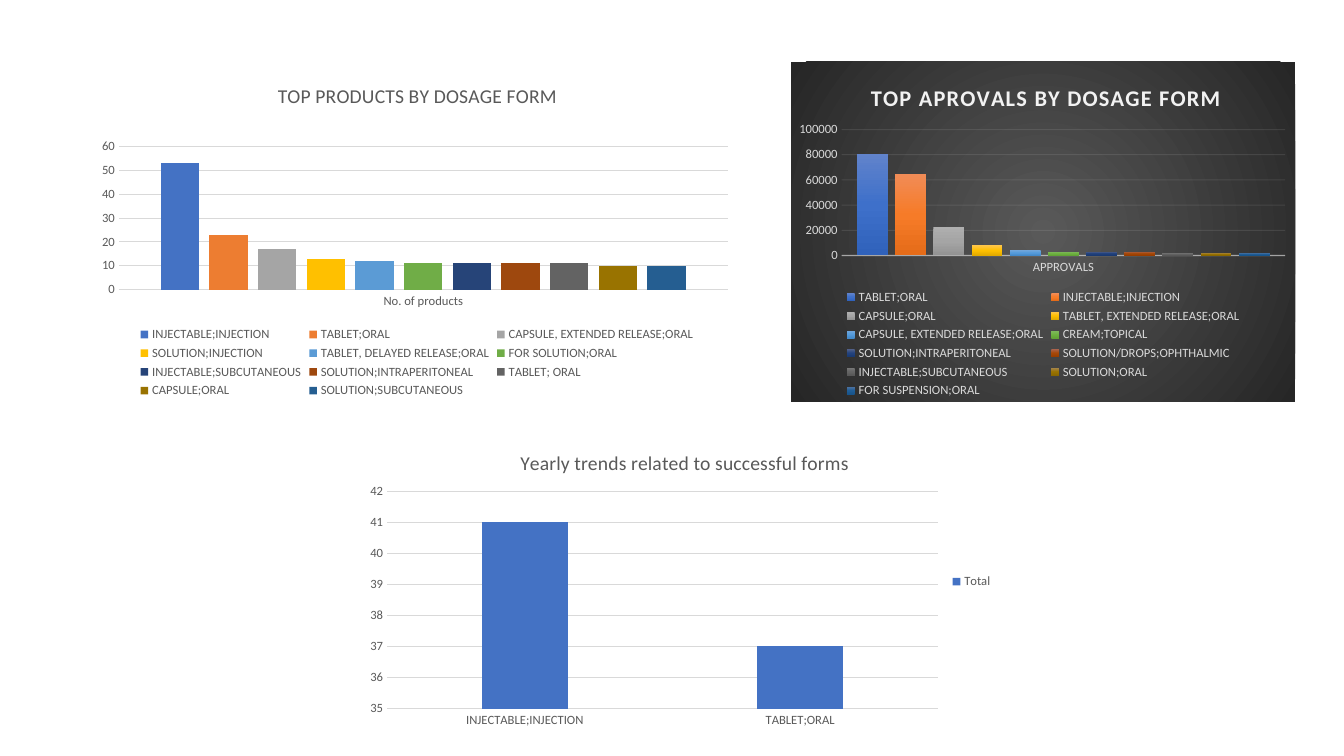
from dataclasses import dataclass

from pptx import Presentation
from pptx.chart.data import CategoryChartData as Data
from pptx.dml.color import RGBColor as Rgb
from pptx.enum.chart import XL_CHART_TYPE as Kind, XL_LEGEND_POSITION as Spot, XL_TICK_MARK as Tick
from pptx.oxml import parse_xml
from pptx.oxml.ns import nsdecls, qn
from pptx.util import Cm, Pt


@dataclass(frozen=True)
class Theme:
    """Hold the colours and type sizes of one chart style."""
    text: str = "595959"
    head: str = "595959"
    line: str = "D9D9D9"
    face: str = "Calibri"
    small: float = 9
    large: float = 14
    bold: bool = False
    width: float = 0.75
    bars: tuple = ("4472C4", "ED7D31", "A5A5A5", "FFC000", "5B9BD5", "70AD47",
                   "264478", "9E480E", "636363", "997300", "255E91")


LIGHT = Theme()
DARK = Theme(text="D9D9D9", head="F2F2F2", line="F2F2F2", large=16, bold=True, width=1,
             bars=("6183CB 3E70CA 3062BB", "F18C57 F67B28 E56C19", "AFAFAF A5A5A5 939393",
                   "FFC64B FFC000 E3AB00", "71A6DB 559BDB 448ACA", "81B861 6FB242 62A336",
                   "516089 22427D 1A3A72", "AB634B A54707 983E00", "777777 636363 585858",
                   "A4844B 997300 886600", "51739F 205E97 17548B"))
PANEL = "595959 262626"

FORMS = {"INJECTABLE;INJECTION": [53], "TABLET;ORAL": [23],
         "CAPSULE, EXTENDED RELEASE;ORAL": [17], "SOLUTION;INJECTION": [13],
         "TABLET, DELAYED RELEASE;ORAL": [12], "FOR SOLUTION;ORAL": [11],
         "INJECTABLE;SUBCUTANEOUS": [11], "SOLUTION;INTRAPERITONEAL": [11],
         "TABLET; ORAL": [11], "CAPSULE;ORAL": [10], "SOLUTION;SUBCUTANEOUS": [10]}
PASSED = {"TABLET;ORAL": [81000], "INJECTABLE;INJECTION": [65000], "CAPSULE;ORAL": [23000],
          "TABLET, EXTENDED RELEASE;ORAL": [8000], "CAPSULE, EXTENDED RELEASE;ORAL": [4000],
          "CREAM;TOPICAL": [3000], "SOLUTION;INTRAPERITONEAL": [3000],
          "SOLUTION/DROPS;OPHTHALMIC": [3000], "INJECTABLE;SUBCUTANEOUS": [2000],
          "SOLUTION;ORAL": [2000], "FOR SUSPENSION;ORAL": [2000]}
TRENDS = {"Total": [41, 37]}


def assign(item, values):
    """Set each named attribute of an item."""
    for name, value in values.items():
        setattr(item, name, value)


def style(font, theme, size, color, bold=False):
    """Format a font in the theme's face."""
    assign(font, {"name": theme.face, "size": Pt(size), "bold": bold})
    font.color.rgb = Rgb.from_string(color)


def stroke(line, color, width):
    """Colour a line and set its width."""
    line.color.rgb = Rgb.from_string(color)
    line.width = Pt(width)


def blend(colors, shade):
    """Return a gradient fill with evenly spaced colours."""
    tones = colors.split()
    step = 100000 // (len(tones) - 1)
    stops = "".join(f'<a:gs pos="{i * step}"><a:srgbClr val="{tone}"/></a:gs>'
                    for i, tone in enumerate(tones))
    return f'<a:gradFill {nsdecls("a")}><a:gsLst>{stops}</a:gsLst>{shade}</a:gradFill>'


def place(parent, index, spot, inner=False):
    """Fix a chart part at fractions of the chart."""
    for old in parent.findall(qn("c:layout")):
        parent.remove(old)
    keys = ("x", "y", "w", "h")[:len(spot)]
    target = '<c:layoutTarget val="inner"/>' if inner else ""
    modes = "".join(f'<c:{key}Mode val="edge"/>' for key in keys[:2])
    sizes = "".join(f'<c:{key} val="{value}"/>' for key, value in zip(keys, spot))
    parent.insert(index, parse_xml(
        f'<c:layout {nsdecls("c")}><c:manualLayout>{target}{modes}{sizes}'
        '</c:manualLayout></c:layout>'))


def columns(slide, box, title, cats, rows, scale, plot, start, theme=LIGHT,
            gap=219, overlap=-27, side=Spot.BOTTOM):
    """Draw a titled column chart in a box and return it."""
    data = Data()
    data.categories = cats
    for name, values in rows.items():
        data.add_series(name, values)
    chart = slide.shapes.add_chart(Kind.COLUMN_CLUSTERED, *map(Cm, box), data).chart
    style(chart.font, theme, theme.small, theme.text)

    chart.has_title = True
    frame = chart.chart_title.text_frame
    frame.text = title
    style(frame.paragraphs[0].runs[0].font, theme, theme.large, theme.head, theme.bold)
    chart.chart_title.include_in_layout = False
    place(next(chart.element.iter(qn("c:title"))), 1, (start, 0.05))
    place(next(chart.element.iter(qn("c:plotArea"))), 0, plot, True)

    chart.has_legend = True
    assign(chart.legend, {"position": side, "include_in_layout": False})
    style(chart.legend.font, theme, theme.small, theme.text)

    assign(chart.plots[0], {"gap_width": gap, "overlap": overlap, "vary_by_categories": False})
    for bar, color in zip(chart.plots[0].series, theme.bars):
        bar.format.fill.solid()
        bar.format.fill.fore_color.rgb = Rgb.from_string(color[:6])

    low, high, unit = scale
    assign(chart.value_axis, {"minimum_scale": low, "maximum_scale": high,
                              "major_unit": unit, "has_major_gridlines": True})
    for axis in (chart.category_axis, chart.value_axis):
        assign(axis, {"major_tick_mark": Tick.NONE, "minor_tick_mark": Tick.NONE})
        style(axis.tick_labels.font, theme, theme.small, theme.text)
    stroke(chart.category_axis.format.line, theme.line, theme.width)
    stroke(chart.value_axis.major_gridlines.format.line, theme.line, 0.75)
    chart.value_axis.format.line.fill.background()
    return chart


def darken(chart, theme):
    """Give a chart a dark panel, shaded bars and faint lines."""
    root = chart.element
    glow = ('<a:path path="circle"><a:fillToRect l="50000" t="50000" r="50000" b="50000"/>'
            '</a:path>')
    root.find(qn("c:chart")).addnext(parse_xml(
        f'<c:spPr {nsdecls("c", "a")}>{blend(PANEL, glow)}<a:ln><a:noFill/></a:ln></c:spPr>'))
    for bar, colors in zip(root.iter(qn("c:ser")), theme.bars):
        old = bar.find(qn("c:spPr")).find(qn("a:solidFill"))
        old.getparent().replace(old, parse_xml(blend(colors, '<a:lin ang="5400000"/>')))
    for tag, alpha in (("c:catAx", 54000), ("c:majorGridlines", 10000)):
        form = next(root.iter(qn(tag))).find(qn("c:spPr"))
        next(form.iter(qn("a:srgbClr"))).append(
            parse_xml(f'<a:alpha {nsdecls("a")} val="{alpha}"/>'))
    title = next(root.iter(qn("c:title")))
    next(title.iter(qn("a:rPr"))).set("spc", "100")


def main():
    """Build the slide and save it."""
    deck = Presentation()
    assign(deck, {"slide_width": Cm(33.87), "slide_height": Cm(19.05)})
    slide = deck.slides.add_slide(deck.slide_layouts[6])
    columns(slide, (2.34, 1.55, 16.33, 8.58), "TOP PRODUCTS BY DOSAGE FORM",
            ["No. of products"], FORMS, (0, 60, 10), (0.04, 0.25, 0.94, 0.42), 0.28)
    chart = columns(slide, (19.94, 1.55, 12.7, 8.58), "TOP APROVALS BY DOSAGE FORM",
                    ["APPROVALS"], PASSED, (0, 100000, 20000), (0.1, 0.2, 0.88, 0.37), 0.15,
                    theme=DARK, gap=100, overlap=-24)
    darken(chart, DARK)
    columns(slide, (8.94, 10.85, 16.33, 7.62), "Yearly trends related to successful forms",
            ["INJECTABLE;INJECTION", "TABLET;ORAL"], TRENDS, (35, 42, 1),
            (0.05, 0.2, 0.85, 0.72), 0.25, side=Spot.RIGHT)
    deck.save("out.pptx")


if __name__ == "__main__":
    main()
